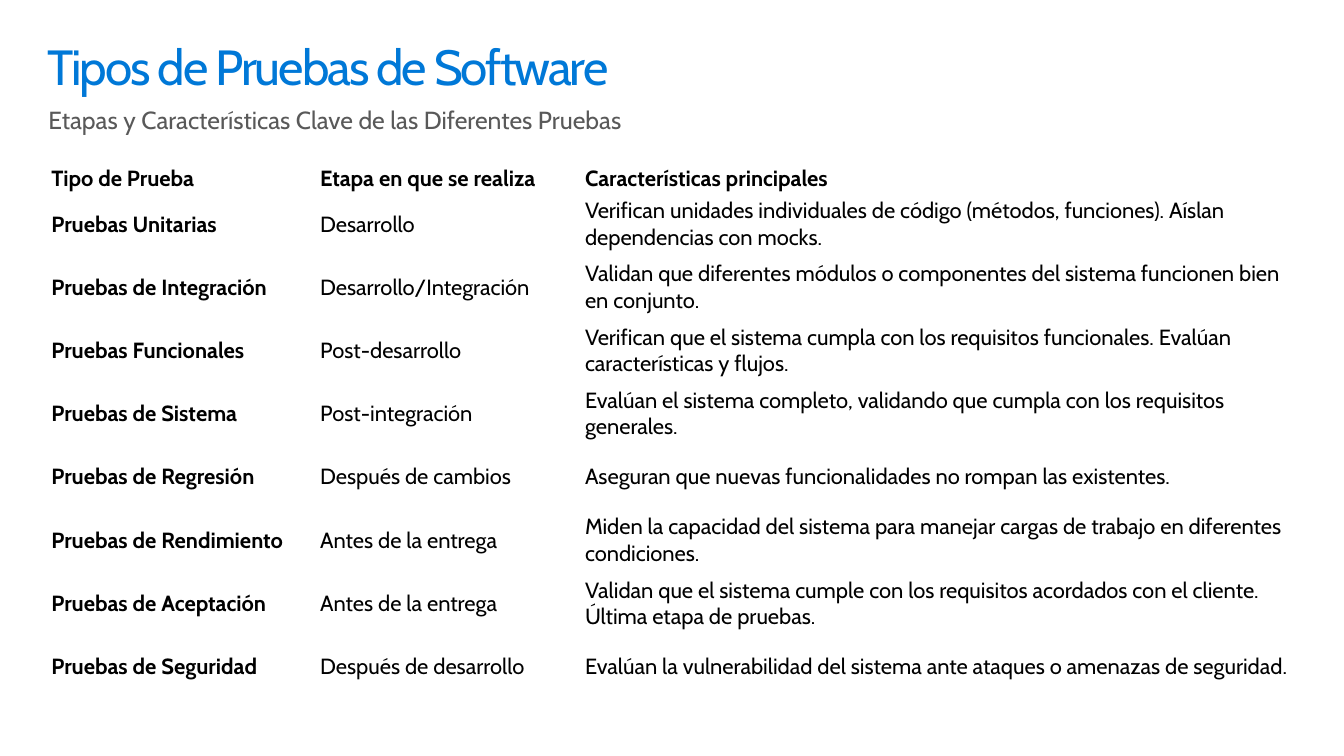
"""Build a slide with a table of software test types."""
from dataclasses import dataclass

from pptx import Presentation
from pptx.dml.color import RGBColor
from pptx.enum.text import MSO_ANCHOR, MSO_AUTO_SIZE, PP_ALIGN
from pptx.oxml.xmlchemy import OxmlElement
from pptx.util import Inches, Pt

TOP, MIDDLE = MSO_ANCHOR.TOP, MSO_ANCHOR.MIDDLE
LEFT = PP_ALIGN.LEFT
NO_AUTOFIT = MSO_AUTO_SIZE.NONE

TITLE = "Tipos de Pruebas de Software"
SUBTITLE = "Etapas y Características Clave de las Diferentes Pruebas"
TESTS = [
    ("Tipo de Prueba", "Etapa en que se realiza", "Características principales"),
    ("Pruebas Unitarias", "Desarrollo",
     "Verifican unidades individuales de código (métodos, funciones). Aíslan dependencias con mocks."),
    ("Pruebas de Integración", "Desarrollo/Integración",
     "Validan que diferentes módulos o componentes del sistema funcionen bien en conjunto."),
    ("Pruebas Funcionales", "Post-desarrollo",
     "Verifican que el sistema cumpla con los requisitos funcionales. Evalúan características y flujos."),
    ("Pruebas de Sistema", "Post-integración",
     "Evalúan el sistema completo, validando que cumpla con los requisitos generales."),
    ("Pruebas de Regresión", "Después de cambios",
     "Aseguran que nuevas funcionalidades no rompan las existentes."),
    ("Pruebas de Rendimiento", "Antes de la entrega",
     "Miden la capacidad del sistema para manejar cargas de trabajo en diferentes condiciones."),
    ("Pruebas de Aceptación", "Antes de la entrega",
     "Validan que el sistema cumple con los requisitos acordados con el cliente. Última etapa de pruebas."),
    ("Pruebas de Seguridad", "Después de desarrollo",
     "Evalúan la vulnerabilidad del sistema ante ataques o amenazas de seguridad."),
]

SLIDE_SIZE = (13.6, 7.65)
TITLE_BOX = (0.48, 0.25, 12.65, 0.82)
SUBTITLE_BOX = (0.49, 1.06, 12.81, 0.6)
TABLE_ORIGIN = (0.49, 1.66)
COLUMNS = (2.72, 2.68, 7.23)
HEADER_ROW, TEST_ROW = 0.25, 0.64
CELL_INSETS = (0.03, 0.01, 0.03, 0.01)


@dataclass(frozen=True)
class Theme:
    """Hold the font, colours and type sizes."""
    font: str = "Cabin"
    accent: str = "0078D7"
    muted: str = "595959"
    ink: str = "000000"
    title: int = 36
    subtitle: int = 18
    table: int = 16


THEME = Theme()


def write(para, text, size, color, bold=False):
    """Add one formatted run to a paragraph."""
    span = para.add_run()
    span.text = text
    font = span.font
    font.name, font.size, font.bold = THEME.font, Pt(size), bold
    font.color.rgb = RGBColor.from_string(color)
    return span


def set_insets(target, insets):
    """Set the left, top, right and bottom margins."""
    (target.margin_left, target.margin_top,
     target.margin_right, target.margin_bottom) = map(Inches, insets)


def place(holder, box, insets):
    """Move a placeholder and return its first paragraph."""
    holder.left, holder.top, holder.width, holder.height = map(Inches, box)
    frame = holder.text_frame
    set_insets(frame, insets)
    frame.word_wrap, frame.auto_size, frame.vertical_anchor = True, NO_AUTOFIT, TOP
    para = frame.paragraphs[0]
    para.alignment, para.space_before = LEFT, Pt(0)
    return para


def add_headings(page):
    """Fill the title and body placeholders."""
    para = place(page.shapes.title, TITLE_BOX, (0, 0.18, 0, 0))
    para.line_spacing = 0.9
    span = write(para, TITLE, THEME.title, THEME.accent)
    span.font._element.set("spc", "-150")

    para = place(page.placeholders[1], SUBTITLE_BOX, (0, 0, 0, 0))
    para.space_after = Pt(8)
    properties = para._p.get_or_add_pPr()
    properties.set("marL", "0")
    properties.set("indent", "0")
    properties.append(OxmlElement("a:buNone"))
    write(para, SUBTITLE, THEME.subtitle, THEME.muted)


def add_test_table(page):
    """Add the table with a bold header and first column."""
    heights = [HEADER_ROW] + [TEST_ROW] * (len(TESTS) - 1)
    size = (sum(COLUMNS), sum(heights))
    table = page.shapes.add_table(
        len(TESTS), len(COLUMNS), *map(Inches, TABLE_ORIGIN + size)).table
    table.first_row = table.horz_banding = False
    for column, width in zip(table.columns, COLUMNS):
        column.width = Inches(width)
    for row, height, texts in zip(table.rows, heights, TESTS):
        row.height = Inches(height)
        for index, (cell, text) in enumerate(zip(row.cells, texts)):
            cell.fill.background()
            cell.vertical_anchor = MIDDLE
            set_insets(cell, CELL_INSETS)
            bold = texts is TESTS[0] or index == 0
            write(cell.text_frame.paragraphs[0], text, THEME.table, THEME.ink, bold)


def main():
    """Create and save the deck."""
    deck = Presentation()
    deck.slide_width, deck.slide_height = map(Inches, SLIDE_SIZE)
    page = deck.slides.add_slide(deck.slide_layouts[1])
    add_headings(page)
    add_test_table(page)
    deck.save("out.pptx")


if __name__ == "__main__":
    main()
